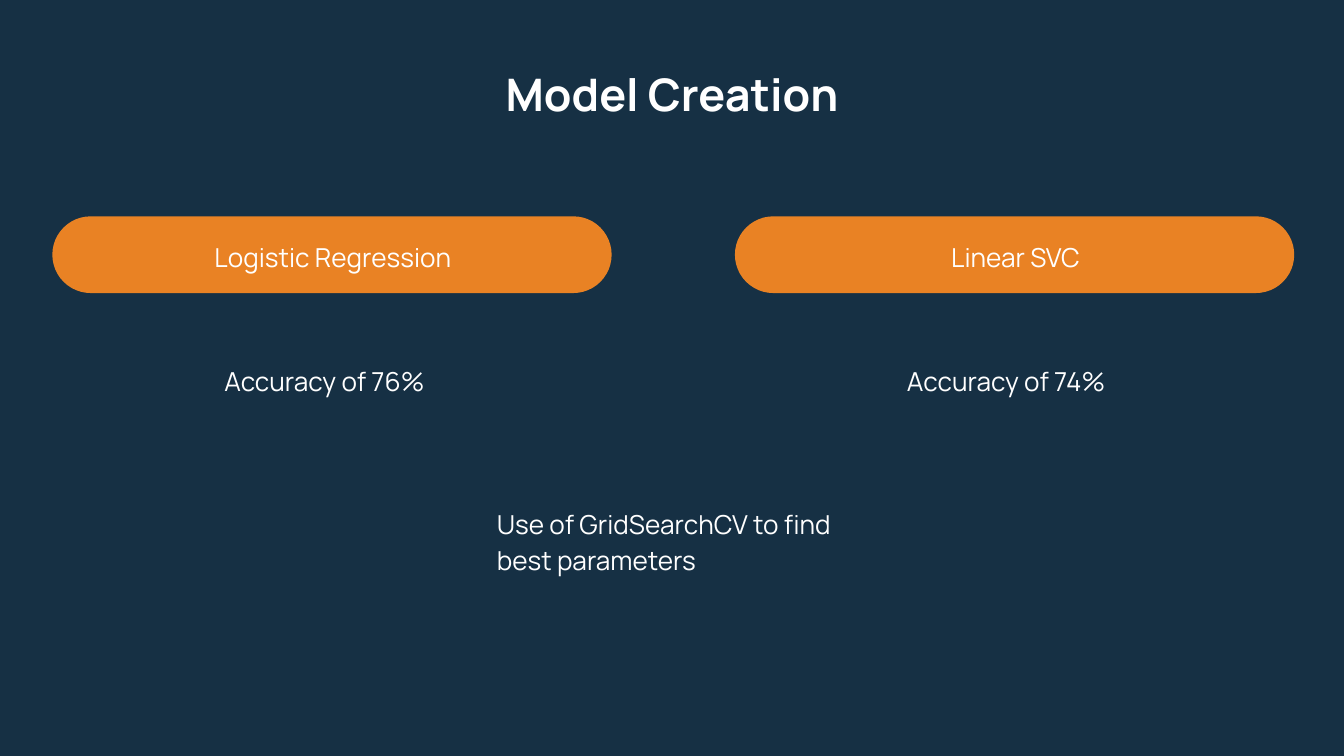
from dataclasses import dataclass

from pptx import Presentation
from pptx import util as u
from pptx.dml import color
from pptx.enum import shapes, text


@dataclass(frozen=True)
class Theme:
    """Colours, font and type sizes of the deck."""
    ground: color.RGBColor = color.RGBColor.from_string("163044")
    accent: color.RGBColor = color.RGBColor.from_string("E98224")
    ink: color.RGBColor = color.RGBColor.from_string("FFFFFF")
    font: str = "Manrope"
    title: u.Pt = u.Pt(24)
    body: u.Pt = u.Pt(14)


@dataclass(frozen=True)
class Box:
    """A rectangle in centimetres."""
    left: float
    top: float
    width: float
    height: float

    def inner(self, left, top, width, height):
        """Return a box placed relative to this one."""
        return Box(self.left + left, self.top + top, width, height)

    def lengths(self):
        """Return the four values as slide lengths."""
        return [u.Cm(value) for value in (self.left, self.top, self.width, self.height)]


THEME = Theme()
MODELS = [("Logistic Regression", "Accuracy of 76%"), ("Linear SVC", "Accuracy of 74%")]


def add_text(page, box, words, align=text.PP_ALIGN.LEFT):
    """Add a middle-anchored text box in body style and return its paragraph."""
    frame = page.shapes.add_textbox(*box.lengths()).text_frame
    frame.word_wrap = True
    frame.vertical_anchor = text.MSO_ANCHOR.MIDDLE
    frame.margin_left = frame.margin_right = u.Cm(0.25)
    frame.margin_top = frame.margin_bottom = u.Cm(0.25)
    para = frame.paragraphs[0]
    para.text = words
    para.alignment = align
    para.line_spacing = 1.15
    para.space_after = u.Pt(12)
    para.font.name = THEME.font
    para.font.size = THEME.body
    para.font.color.rgb = THEME.ink
    return para


def add_title(page, box, words):
    """Add the centred bold slide title."""
    para = add_text(page, box, words, text.PP_ALIGN.CENTER)
    para.line_spacing = 1.0
    para.space_after = u.Pt(0)
    para.font.size = THEME.title
    para.font.bold = True


def add_model(page, box, name, accuracy):
    """Add a model's name on a pill with its accuracy below."""
    pill_box = box.inner(0, 0.08, box.width, 1.45)
    pill = page.shapes.add_shape(shapes.MSO_SHAPE.ROUNDED_RECTANGLE, *pill_box.lengths())
    pill.adjustments[0] = 0.5
    pill.shadow.inherit = False
    pill.fill.solid()
    pill.fill.fore_color.rgb = THEME.accent
    pill.line.fill.background()
    add_text(page, box.inner(0.53, 0, 9.55, 1.6), name, text.PP_ALIGN.CENTER)
    add_text(page, box.inner(3, 2.34, 4.6, 1.6), accuracy)


def build_model_slide(deck):
    """Add the slide that compares the models."""
    page = deck.slides.add_slide(deck.slide_layouts[6])
    page.background.fill.solid()
    page.background.fill.fore_color.rgb = THEME.ground
    add_title(page, Box(0.94, 0.71, 23.52, 2.13), "Model Creation")
    first = Box(0.99, 4.01, 10.57, 3.94)
    for index, (name, accuracy) in enumerate(MODELS):
        column = first.inner(index * 12.9, 0, first.width, first.height)
        add_model(page, column, name, accuracy)
    add_text(page, Box(9.14, 9.4, 7.14, 1.6), "Use of GridSearchCV to find best parameters")


def main():
    """Build and save the deck."""
    deck = Presentation()
    deck.slide_width, deck.slide_height = u.Cm(25.4), u.Cm(14.29)
    build_model_slide(deck)
    deck.save("out.pptx")


if __name__ == "__main__":
    main()
